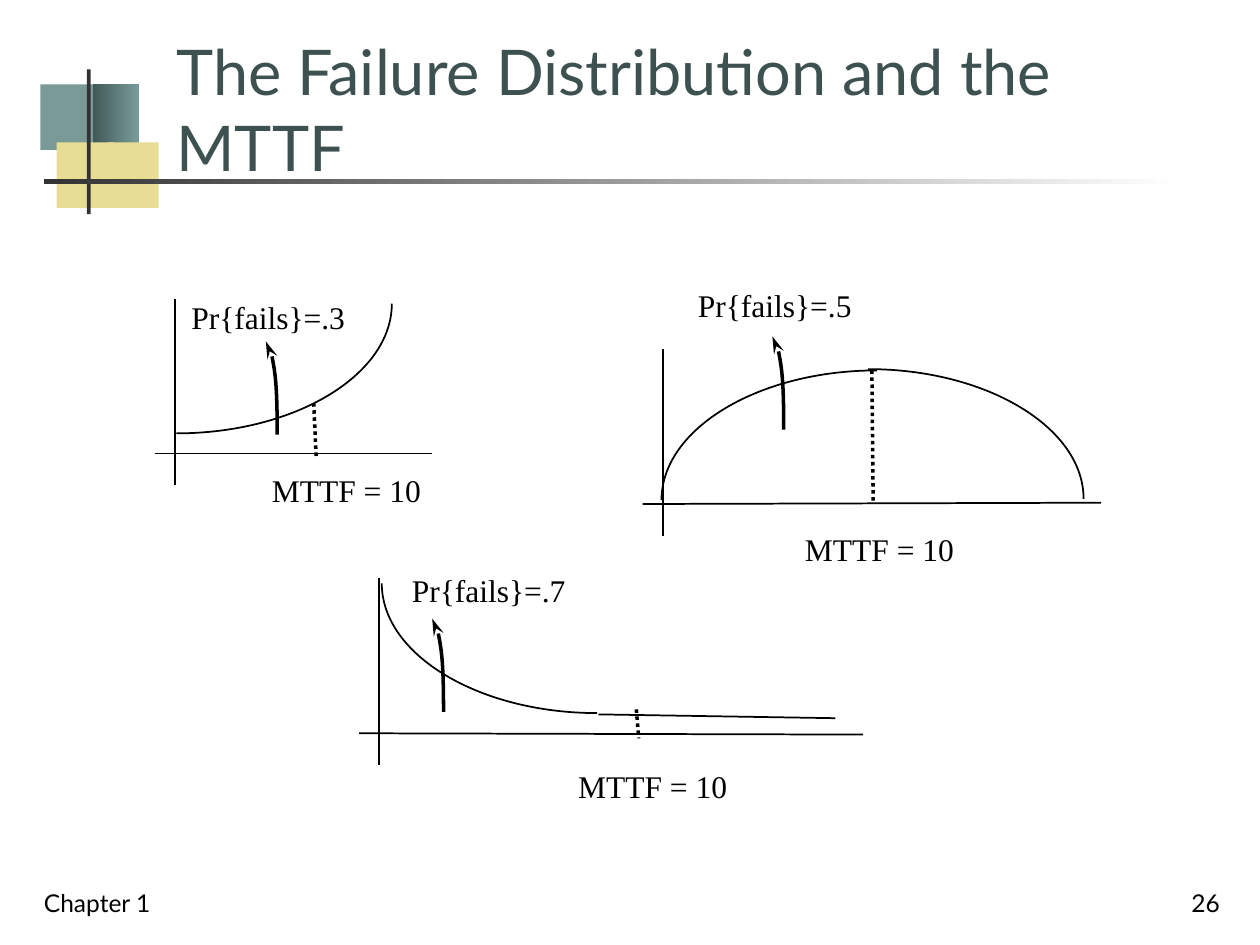
"""Build a slide comparing three failure distributions that share one MTTF."""
from math import cos, radians, sin

from lxml.etree import SubElement
from pptx import Presentation
from pptx.dml.color import RGBColor
from pptx.enum.dml import MSO_LINE
from pptx.enum.shapes import MSO_CONNECTOR, MSO_SHAPE
from pptx.enum.text import MSO_ANCHOR, PP_ALIGN
from pptx.oxml.ns import qn
from pptx.util import Inches, Pt

BLACK = RGBColor(0x00, 0x00, 0x00)
WHITE = RGBColor(0xFF, 0xFF, 0xFF)
CHARCOAL = RGBColor(0x33, 0x33, 0x33)
TITLE_TEAL = RGBColor(0x3D, 0x51, 0x50)
TEAL = RGBColor(0x7A, 0x9A, 0x98)
DARK_TEAL = RGBColor(0x43, 0x59, 0x58)
LIGHT_TEAL = RGBColor(0x78, 0x9C, 0x9A)
SAND = RGBColor(0xE7, 0xDD, 0x95)

TITLE = "The Failure Distribution and the MTTF"
MTTF = "MTTF = 10"
DECORATION = [
    ((0.32, 0.67, 0.48, 0.52), (TEAL,)),
    ((0.74, 0.67, 0.36, 0.52), (DARK_TEAL, LIGHT_TEAL)),
    ((0.45, 1.13, 0.46, 0.52), (SAND,)),
    ((0.86, 1.13, 0.40, 0.52), (SAND,)),
    ((0.69, 0.55, 0.03, 1.15), (CHARCOAL,)),
    ((0.35, 1.42, 9.00, 0.04), (CHARCOAL, WHITE)),
]
FOOTERS = [("Chapter 1", 0.25, PP_ALIGN.LEFT), ("26", 7.7, PP_ALIGN.RIGHT)]

PLOTS = [
    {"origin": (1.39, 3.6), "axis_end": (2.04, 0),
     "arcs": [((0.01, -1.19), 0)], "tails": [],
     "mean": ((1.10, -0.40), (1.12, 0.04)), "mttf_at": (0.67, 0.09),
     "chance": "Pr{fails}=.3", "chance_at": (0.03, -1.28), "tip": (0.72, -0.89)},
    {"origin": (5.26, 4.0), "axis_end": (3.48, -0.01),
     "arcs": [((1.70, -0.03), 180), ((1.63, -0.04), 270)], "tails": [],
     "mean": ((1.66, -1.06), (1.67, -0.02)), "mttf_at": (1.03, 0.16),
     "chance": "Pr{fails}=.5", "chance_at": (0.18, -1.78), "tip": (0.87, -1.33)},
    {"origin": (3.01, 5.82), "axis_end": (3.84, 0.01),
     "arcs": [((1.73, -1.19), 90)], "tails": [((1.74, -0.15), (3.62, -0.12))],
     "mean": ((2.04, -0.19), (2.06, 0.04)), "mttf_at": (1.48, 0.22),
     "chance": "Pr{fails}=.7", "chance_at": (0.16, -1.34), "tip": (0.42, -0.91)},
]
AXIS_TOP, AXIS_BOTTOM, AXIS_LEFT = -1.23, 0.25, -0.16
CURVE_RADII = (1.71, 1.03)
ARROW_RADII = (0.09, 0.74)
HANDLE = 0.55


def apply_format(target, values):
    for name, value in values.items():
        setattr(target, name, value)


def set_font(paragraph, name, size, color):
    apply_format(paragraph.font, {"name": name, "size": Pt(size)})
    paragraph.font.color.rgb = color


def set_line(line, width):
    line.width = Pt(width)
    line.color.rgb = BLACK


def add_block(shapes, box, colors):
    block = shapes.add_shape(MSO_SHAPE.RECTANGLE, *map(Inches, box))
    block.shadow.inherit = False
    block.line.fill.background()
    if len(colors) == 1:
        block.fill.solid()
        block.fill.fore_color.rgb = colors[0]
        return
    block.fill.gradient()
    block.fill.gradient_angle = 0
    for stop, position, color in zip(block.fill.gradient_stops, (0, 1), colors):
        stop.position = position
        stop.color.rgb = color


def add_label(shapes, text, box, font, size, **frame_format):
    frame = shapes.add_textbox(*map(Inches, box)).text_frame
    apply_format(frame, {"word_wrap": False, **frame_format})
    paragraph = frame.paragraphs[0]
    paragraph.text = text
    set_font(paragraph, font, size, BLACK)
    return paragraph


def add_segment(shapes, start, end, width=1):
    segment = shapes.add_connector(MSO_CONNECTOR.STRAIGHT, *map(Inches, (*start, *end)))
    SubElement(segment.element.spPr, qn("a:effectLst"))
    set_line(segment.line, width)
    return segment


def add_quarter(shapes, center, radii, first_angle, width=1):
    points = []
    for angle, handle in ((first_angle, 0), (first_angle, HANDLE),
                          (first_angle + 90, -HANDLE), (first_angle + 90, 0)):
        across, down = cos(radians(angle)), sin(radians(angle))
        points.append((Inches(center[0] + radii[0] * (across - handle * down)),
                       Inches(center[1] + radii[1] * (down + handle * across))))
    builder = shapes.build_freeform(*points[0])
    builder.add_line_segments(points[1:], close=False)
    quarter = builder.convert_to_shape()
    outline = next(quarter.element.iter(qn("a:path")))
    curve = SubElement(outline, qn("a:cubicBezTo"))
    for straight in outline.findall(qn("a:lnTo")):
        curve.append(straight[0])
        outline.remove(straight)
    quarter.shadow.inherit = False
    quarter.fill.background()
    set_line(quarter.line, width)
    return quarter


def add_plot(shapes, plot):
    def place(offset):
        return tuple(base + shift for base, shift in zip(plot["origin"], offset))

    add_segment(shapes, place((0, AXIS_TOP)), place((0, AXIS_BOTTOM)))
    add_segment(shapes, place((AXIS_LEFT, 0)), place(plot["axis_end"]))
    for center, first_angle in plot["arcs"]:
        add_quarter(shapes, place(center), CURVE_RADII, first_angle)
    for start, end in plot["tails"]:
        add_segment(shapes, place(start), place(end))
    mean = add_segment(shapes, *map(place, plot["mean"]), width=2)
    mean.line.dash_style = MSO_LINE.ROUND_DOT
    for text, offset, width in ((MTTF, plot["mttf_at"], 1.39),
                                (plot["chance"], plot["chance_at"], 1.42)):
        add_label(shapes, text, (*place(offset), width, 0.4), "Times New Roman", 18)
    tip_x, tip_y = place(plot["tip"])
    arrow = add_quarter(shapes, (tip_x, tip_y + ARROW_RADII[1]), ARROW_RADII, 270, 2)
    SubElement(arrow.element.spPr.find(qn("a:ln")), qn("a:headEnd"), type="stealth", len="lg")


def main():
    deck = Presentation()
    apply_format(deck, {"slide_width": Inches(10), "slide_height": Inches(7.5)})
    slide = deck.slides.add_slide(deck.slide_layouts[5])
    shapes = slide.shapes
    for box, colors in DECORATION:
        add_block(shapes, box, colors)

    title = shapes.title
    apply_format(title, {"left": Inches(1.3), "top": Inches(0.27),
                         "width": Inches(8.39), "height": Inches(1.24)})
    title.text = TITLE
    apply_format(title.text_frame, {"vertical_anchor": MSO_ANCHOR.BOTTOM, "word_wrap": True})
    heading = title.text_frame.paragraphs[0]
    heading.alignment = PP_ALIGN.LEFT
    set_font(heading, "Lato", 36, TITLE_TEAL)
    title.element.getparent().append(title.element)

    for text, left, alignment in FOOTERS:
        footer = add_label(shapes, text, (left, 6.83, 2.08, 0.5), "Lato", 14,
                           word_wrap=True, vertical_anchor=MSO_ANCHOR.BOTTOM)
        footer.alignment = alignment
    for plot in PLOTS:
        add_plot(shapes.add_group_shape().shapes, plot)
    deck.save("out.pptx")


if __name__ == "__main__":
    main()
